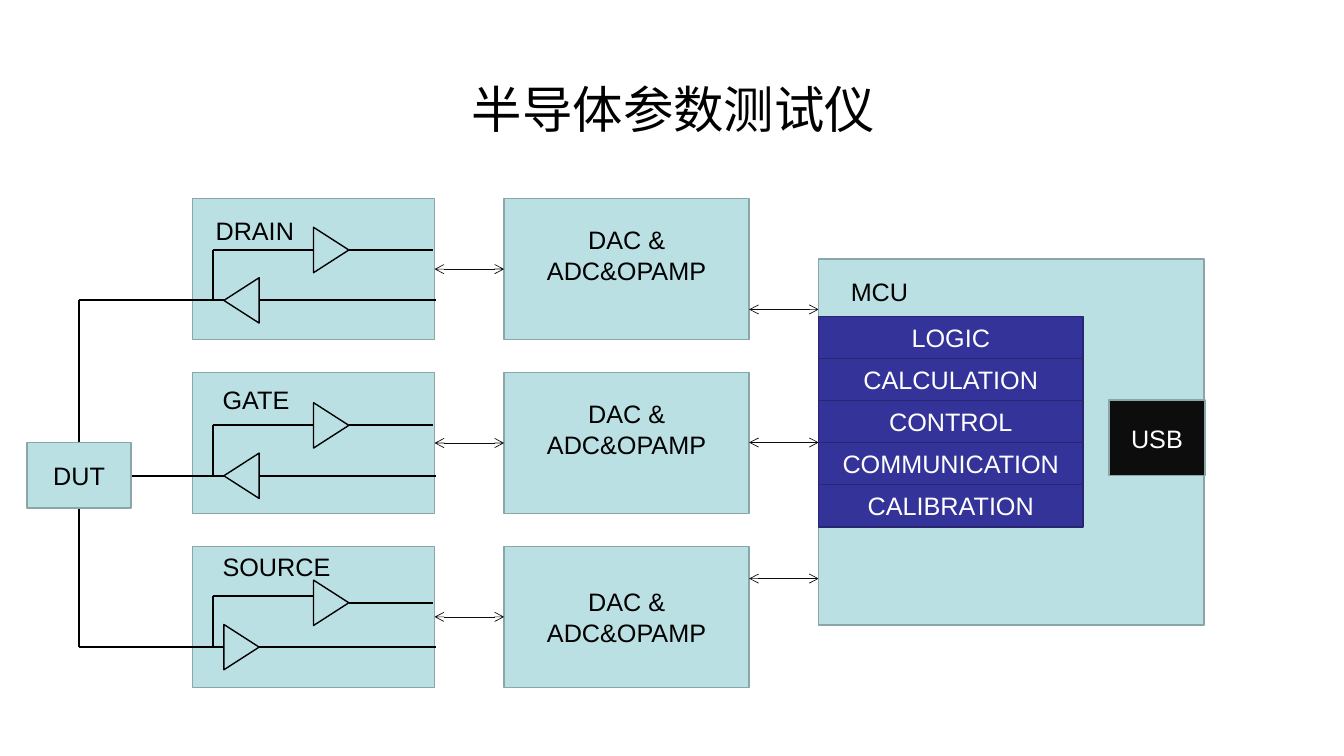
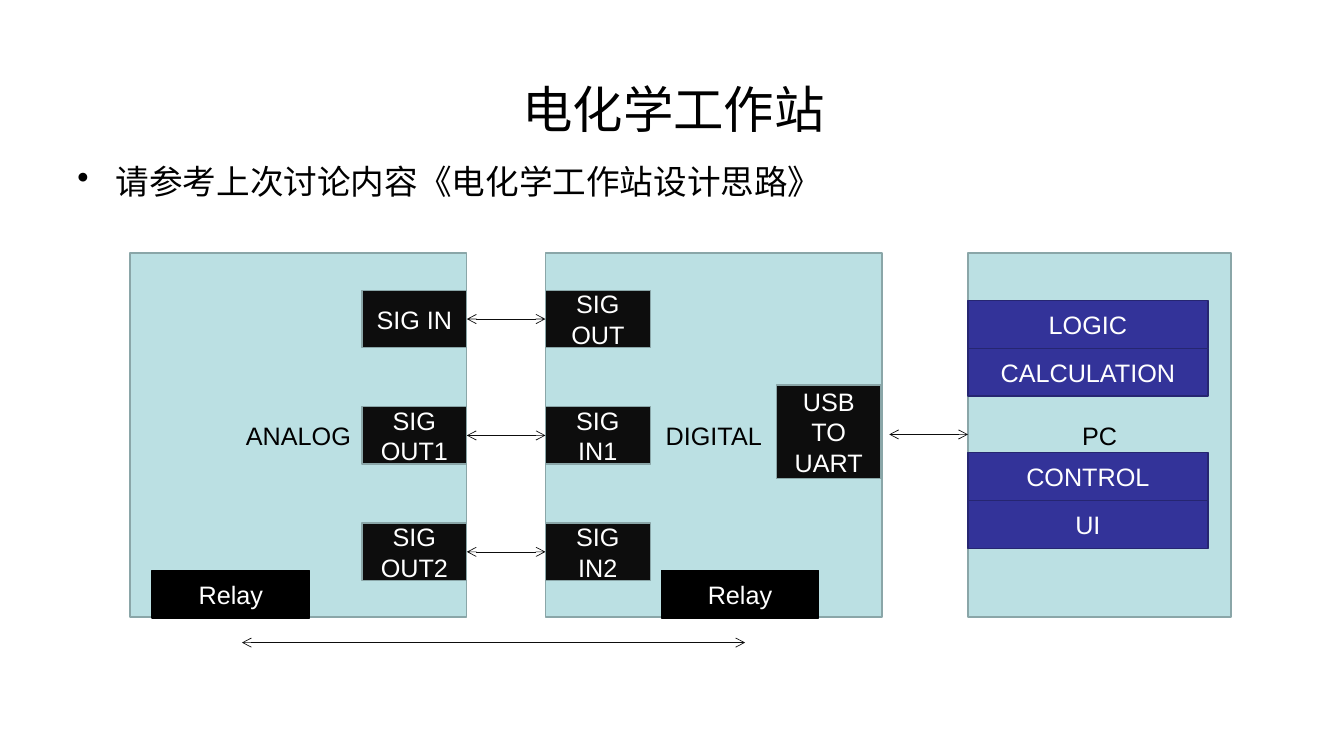
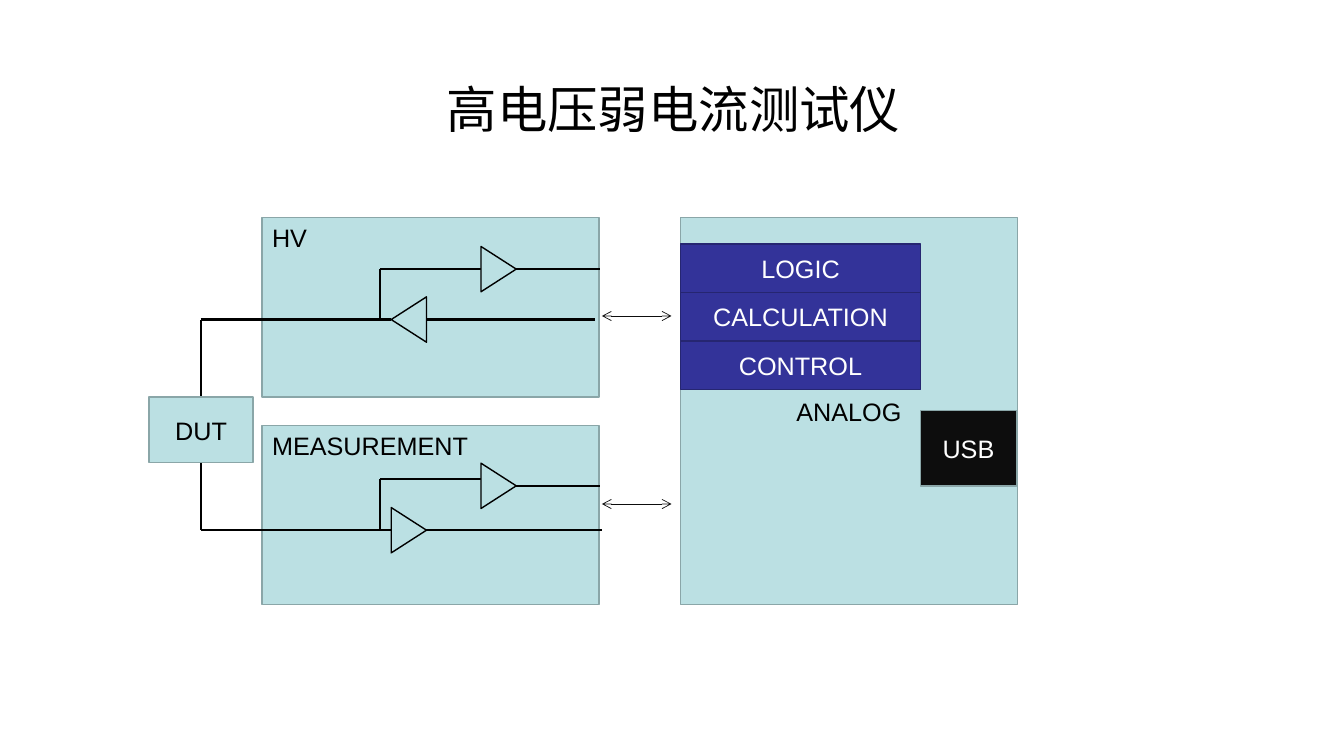
from dataclasses import dataclass

from lxml import etree
from pptx import Presentation
from pptx import util as u
from pptx.dml.color import RGBColor
from pptx.enum import shapes, text
from pptx.oxml.ns import qn

# Grid: every position is a column or row number
COLS, ROWS = 1333, 750
CELL = u.Inches(0.01)


@dataclass(frozen=True)
class Theme:
    font: str = "Arial"
    title: int = 36
    body: int = 24
    label: int = 18
    ink: str = "000000"
    paper: str = "FFFFFF"
    thin: float = 0.5
    outline: float = 1
    wire: float = 1.5
    arrow: str = "0D0D0D"


T = Theme()
# Fill, outline and text colour of each kind of box
BLOCK = ("BBE0E3", "8AA6A8", T.ink)
TASK = ("333399", "262671", T.paper)
PORT = ("0D0D0D", "8AA6A8", T.paper)
RELAY = (T.ink, T.ink, T.paper)
AMP = ("BBE0E3", T.ink, T.ink)

CENTER = text.PP_ALIGN.CENTER
LEFT = text.PP_ALIGN.LEFT
MIDDLE = text.MSO_ANCHOR.MIDDLE
TOP = text.MSO_ANCHOR.TOP
AMP_W, AMP_H = 45, 35
DUT_W, DUT_H = 103, 65


def grid(*cells):
    return [round(c * CELL) for c in cells]


def rgb(code):
    return RGBColor.from_string(code)


def put(obj, **fmt):
    for name, value in fmt.items():
        setattr(obj, name, value)


# Text
def write(sp, words, size=T.label, color=T.ink, align=CENTER, anchor=MIDDLE, foot=5):
    tf = sp.text_frame
    put(tf, word_wrap=True, vertical_anchor=anchor, margin_bottom=grid(foot)[0])
    p = tf.paragraphs[0]
    p.alignment = align
    r = p.add_run()
    r.text = words
    put(r.font, name=T.font, size=u.Pt(size))
    r.font.color.rgb = rgb(color)
    return p


def label(s, x, y, w, words, h=40, **fmt):
    fmt = {"align": LEFT, "anchor": TOP, **fmt}
    return write(s.shapes.add_textbox(*grid(x, y, w, h)), words, **fmt)


def bullet(s, x, y, w, h, words):
    p = label(s, x, y, w, words, h, size=T.body)
    p.space_before = u.Pt(T.body * 0.2)
    pPr = p._p.get_or_add_pPr()
    indent = grid(38)[0]
    pPr.set("marL", str(indent))
    pPr.set("indent", str(-indent))
    etree.SubElement(pPr, qn("a:buChar")).set("char", "•")


# Shapes
def box(s, x, y, w, h, words="", style=BLOCK, kind=shapes.MSO_SHAPE.RECTANGLE, foot=5):
    fill, outline, color = style
    sp = s.shapes.add_shape(kind, *grid(x, y, w, h))
    sp.shadow.inherit = False
    sp.fill.solid()
    sp.fill.fore_color.rgb = rgb(fill)
    sp.line.color.rgb = rgb(outline)
    sp.line.width = u.Pt(T.outline)
    if words:
        write(sp, words, color=color, foot=foot)
    return sp


def stack(s, x, y, w, h, tasks):
    for i, task in enumerate(tasks):
        box(s, x, y + i * h, w, h, task, TASK)


def amp(s, x, y, angle):
    """Amplifier whose left side is at x, centred on row y."""
    cx = x + AMP_H / 2
    sp = box(s, cx - AMP_W / 2, y - AMP_H / 2, AMP_W, AMP_H, style=AMP,
             kind=shapes.MSO_SHAPE.ISOSCELES_TRIANGLE)
    sp.rotation = angle


# Lines
def line(s, x1, y1, x2, y2, color=T.ink, width=T.wire):
    cn = s.shapes.add_connector(shapes.MSO_CONNECTOR.STRAIGHT, *grid(x1, y1, x2, y2))
    cn.line.color.rgb = rgb(color)
    cn.line.width = u.Pt(width)
    spPr = cn._element.spPr
    etree.SubElement(spPr, qn("a:effectLst"))
    return spPr.find(qn("a:ln"))


def link(s, x1, x2, y):
    ln = line(s, x1, y, x2, y, T.arrow, T.thin)
    for end in ("a:headEnd", "a:tailEnd"):
        etree.SubElement(ln, qn(end)).set("type", "arrow")


def channel(s, start, x, y, upper_end, lower_end, forward=False):
    """Wire on row y with an amplifier at x, and a tapped amplifier above it."""
    tap, rise = (51, 44) if forward else (50, 50)
    tap_x, upper_x = x - 11, x + 89
    line(s, start, y, x, y)
    line(s, x + AMP_H, y, lower_end, y)
    line(s, tap_x, y, tap_x, y - tap)
    line(s, tap_x, y - tap, upper_x, y - tap)
    line(s, upper_x + AMP_H, y - rise, upper_end, y - rise)
    amp(s, x, y, 90 if forward else 270)
    amp(s, upper_x, y - rise, 90)


def dut(s, x, y, top, bottom):
    """Device under test, wired up to row top and down to row bottom."""
    cx = x + DUT_W / 2
    line(s, cx, top, cx, y)
    line(s, cx, y + DUT_H, cx, bottom)
    box(s, x, y, DUT_W, DUT_H, "DUT")


# Slides
def new_slide(prs, title):
    s = prs.slides.add_slide(prs.slide_layouts[6])
    label(s, 68, 68, 1200, title, 79, size=T.title, align=CENTER, anchor=MIDDLE)
    return s


def parameter_tester(prs):
    s = new_slide(prs, "半导体参数测试仪")
    # Channels: name, label place, wire row, wire start, MCU link row, text foot
    channels = [("DRAIN", 204, 209, 298, 78, 307, 33),
                ("GATE", 211, 376, 472, 129, 439, 33),
                ("SOURCE", 211, 542, 642, 78, 574, 5)]
    for i, (name, x, y, wire, start, mcu, foot) in enumerate(channels):
        top = 197 + i * 172.5
        box(s, 191, top, 240, 140)
        label(s, x, y, 127, name)
        channel(s, start, 222, wire, 429, 432, forward=name == "SOURCE")
        box(s, 500, top, 243, 140, "DAC & ADC&OPAMP", foot=foot)
        link(s, 431, 500, top + 70)
        link(s, 743, 812, mcu)
    dut(s, 27, 439, 298, 642)
    # Controller
    box(s, 812, 257, 382, 363)
    box(s, 1100, 397, 95, 75, "USB", PORT)
    label(s, 834, 269, 106, "MCU")
    stack(s, 812, 314, 262, 41.75,
          ["LOGIC", "CALCULATION", "CONTROL", "COMMUNICATION", "CALIBRATION"])


def workstation(prs):
    s = new_slide(prs, "电化学工作站")
    bullet(s, 67, 155, 1200, 516, "请参考上次讨论内容《电化学工作站设计思路》")
    # Analog and digital boards: name, left, port left, relay left, ports
    boards = [("ANALOG", 129, 359, 151, ["SIG IN", "SIG OUT1", "SIG OUT2"]),
              ("DIGITAL", 541, 541, 656, ["SIG OUT", "SIG IN1", "SIG IN2"])]
    for name, x, port_x, relay_x, ports in boards:
        box(s, x, 251, 334, 361, name)
        for i, port in enumerate(ports):
            box(s, port_x, 288 + i * 115.5, 104, 57, port, PORT)
        box(s, relay_x, 566, 156, 47, "Relay", RELAY)
    for i in range(3):
        link(s, 463, 541, 316.5 + i * 115.5)
    link(s, 240, 739, 637.5)
    # Computer
    box(s, 960, 251, 261, 361, "PC")
    box(s, 770, 382, 104, 93, "USB TO UART", PORT)
    link(s, 882, 960, 431)
    stack(s, 960, 298, 238, 47.5, ["LOGIC", "CALCULATION"])
    stack(s, 960, 449, 238, 47.5, ["CONTROL", "UI"])


def high_voltage_tester(prs):
    s = new_slide(prs, "高电压弱电流测试仪")
    # Channels: name, top, wire row, lower wire end, link row
    channels = [("HV", 216, 317, 590, 313.5),
                ("MEASUREMENT", 422, 526, 597, 500)]
    for name, top, wire, end, link_y in channels:
        box(s, 260, top, 334, 178)
        label(s, 260, top, 225, name)
        channel(s, 199, 388, wire, 595, end, forward=name == "MEASUREMENT")
        link(s, 597, 666, link_y)
    dut(s, 148, 394, 317, 526)
    # Analog board
    box(s, 675, 216, 334, 384, "ANALOG")
    stack(s, 675, 242, 238, 48.25, ["LOGIC", "CALCULATION", "CONTROL"])
    box(s, 913, 407, 95, 75, "USB", PORT)


def main():
    prs = Presentation()
    put(prs, slide_width=COLS * CELL, slide_height=ROWS * CELL)
    for build in (parameter_tester, workstation, high_voltage_tester):
        build(prs)
    prs.save("out.pptx")


main()
